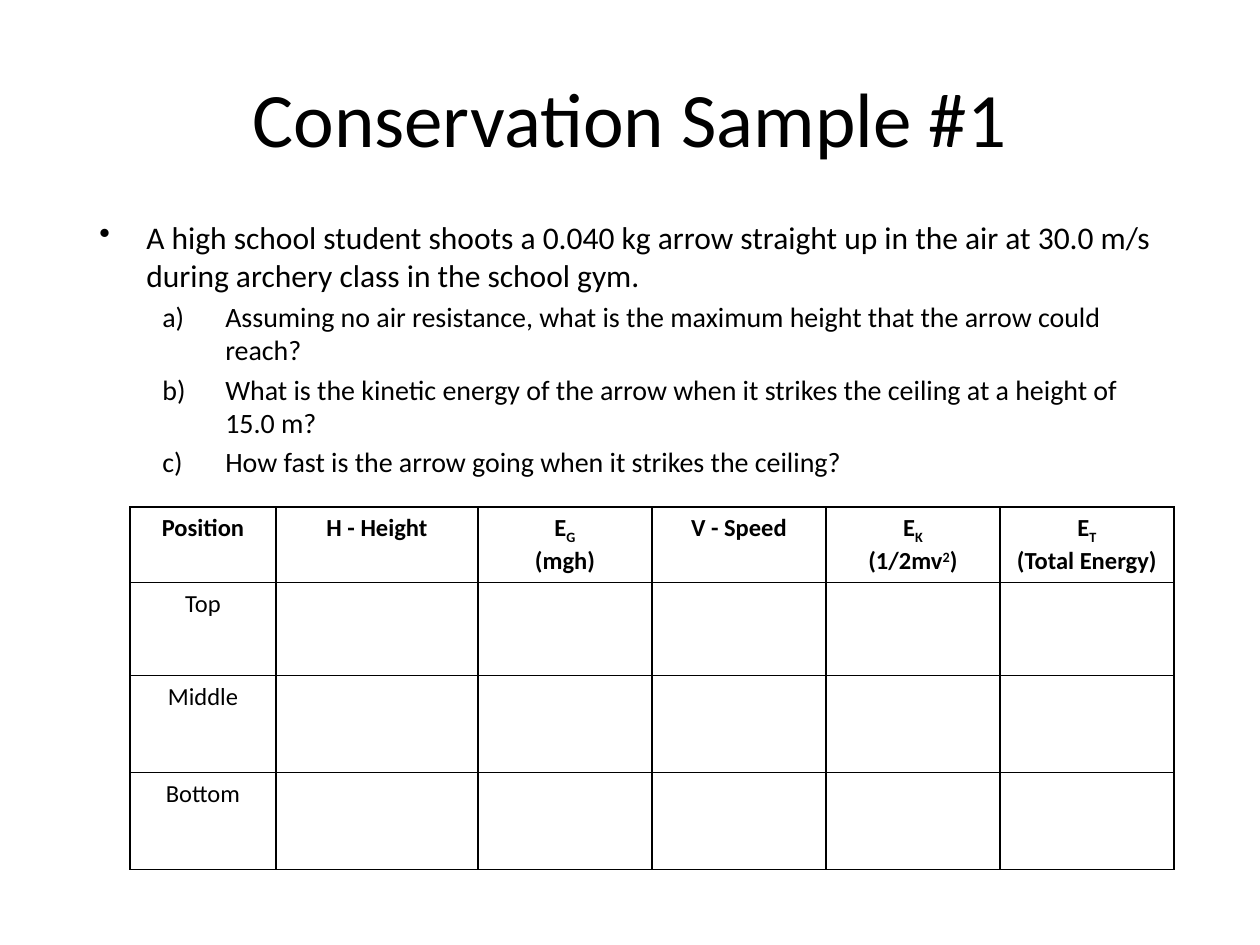
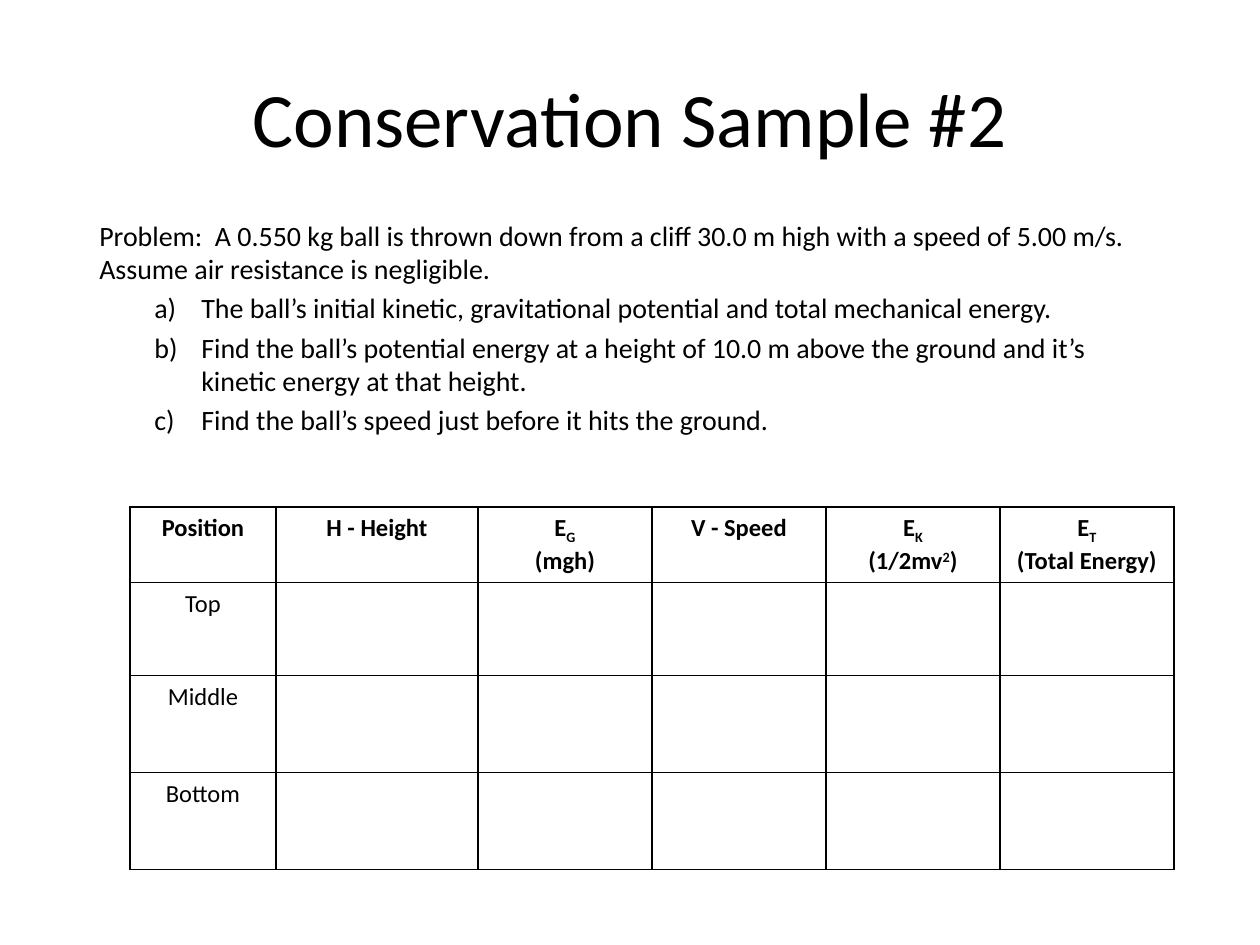
import dataclasses
import pptx
import pptx.util
import pptx.dml.color
import pptx.enum.text
import pptx.oxml.ns
from lxml import etree

PX = 914400 / 126
ALIGN = pptx.enum.text.PP_ALIGN
ANCHOR = pptx.enum.text.MSO_ANCHOR


@dataclasses.dataclass(frozen=True)
class Theme:
    """Colours, font and type sizes of the deck."""
    ink: str = "000000"
    face: str = "Calibri"
    title: int = 44
    lead: int = 18
    body: int = 16
    cell: int = 14
    rule: int = 1


THEME = Theme()
TITLE = (63, 38, 1134, 158)
BODY = (87, 212, 1086, 275)
GRID = (130, 507, 1044, 358)
COLS = (146, 202, 174, 174, 174, 174)
ROWS = (71, 93, 97, 97)
HEADS = (
    [["Position"]],
    [["H - Height"]],
    [["E", ("G", -25)], ["(mgh)"]],
    [["V - Speed"]],
    [["E", ("K", -25)], ["(1/2mv", ("2", 30), ")"]],
    [["E", ("T", -25)], ["(Total Energy)"]],
)
STAGES = ("Top", "Middle", "Bottom")
SAMPLES = (
    dict(
        title="Conservation Sample #1",
        lead="A high school student shoots a 0.040 kg arrow straight up in the air "
             "at 30.0 m/s during archery class in the school gym.",
        size=THEME.lead, bullet=True, indent=(126, 63),
        parts=(
            "Assuming no air resistance, what is the maximum height that the arrow could reach?",
            "What is the kinetic energy of the arrow when it strikes the ceiling at a height of 15.0 m?",
            "How fast is the arrow going when it strikes the ceiling?",
        ),
    ),
    dict(
        title="Conservation Sample #2",
        lead="Problem:  A 0.550 kg ball is thrown down from a cliff 30.0 m high "
             "with a speed of 5.00 m/s.  Assume air resistance is negligible.",
        size=THEME.body, bullet=False, indent=(102, 47),
        parts=(
            "The ball’s initial kinetic, gravitational potential and total mechanical energy.",
            "Find the ball’s potential energy at a height of 10.0 m above the ground "
            "and it’s kinetic energy at that height.",
            "Find the ball’s speed just before it hits the ground.",
        ),
    ),
)


def emu(px):
    """Turn px into EMU."""
    return round(px * PX)


def sub(node, tag, **attrs):
    """Add a DrawingML child to a node."""
    return etree.SubElement(node, pptx.oxml.ns.qn("a:" + tag), attrs)


def style(para, size, bold=False):
    """Set the font of a paragraph."""
    font = para.font
    font.name, font.size, font.bold = THEME.face, pptx.util.Pt(size), bold
    font.color.rgb = pptx.dml.color.RGBColor.from_string(THEME.ink)


def mark(para, left, hang, tag, **attrs):
    """Give a paragraph a hanging bullet or number."""
    props = para._p.get_or_add_pPr()
    props.set("marL", str(emu(left)))
    props.set("indent", str(-emu(hang)))
    sub(props, tag, **attrs)


def text_box(slide, box):
    """Add a wrapping text box and return its frame."""
    frame = slide.shapes.add_textbox(*map(emu, box)).text_frame
    frame.word_wrap = True
    return frame


def add_title(slide, box, text):
    """Place the centred title."""
    frame = text_box(slide, box)
    frame.vertical_anchor = ANCHOR.MIDDLE
    para = frame.paragraphs[0]
    para.text, para.alignment = text, ALIGN.CENTER
    style(para, THEME.title)


def add_body(slide, box, sample):
    """Place the problem and its lettered parts."""
    frame = text_box(slide, box)
    lead = frame.paragraphs[0]
    lead.text = sample["lead"]
    if sample["bullet"]:
        mark(lead, 47, 47, "buChar", char="•")
    style(lead, sample["size"])
    for part in sample["parts"]:
        para = frame.add_paragraph()
        para.text, para.level = part, 1
        para.space_before = pptx.util.Pt(THEME.body * 0.2)
        mark(para, *sample["indent"], "buAutoNum", type="alphaLcParenR")
        style(para, THEME.body)


def border(cell):
    """Rule all four sides of a cell, without fill."""
    props = cell._tc.get_or_add_tcPr()
    for side in ("lnL", "lnR", "lnT", "lnB"):
        line = sub(props, side, w=str(pptx.util.Pt(THEME.rule)))
        sub(sub(line, "solidFill"), "srgbClr", val=THEME.ink)
    cell.fill.background()


def fill_cell(cell, lines, bold=False):
    """Write centred lines, with raised or lowered runs."""
    frame = cell.text_frame
    for i, line in enumerate(lines):
        para = frame.add_paragraph() if i else frame.paragraphs[0]
        para.alignment = ALIGN.CENTER
        style(para, THEME.cell, bold)
        for piece in line:
            text, shift = (piece, 0) if isinstance(piece, str) else piece
            run = para.add_run()
            run.text = text
            if shift:
                run.font._element.set("baseline", str(shift * 1000))


def add_grid(slide, box):
    """Place the energy table."""
    table = slide.shapes.add_table(len(ROWS), len(COLS), *map(emu, box)).table
    table.first_row = table.horz_banding = False
    for col, width in zip(table.columns, COLS):
        col.width = emu(width)
    for row, height in zip(table.rows, ROWS):
        row.height = emu(height)
    for cell in table.iter_cells():
        border(cell)
    for i, head in enumerate(HEADS):
        fill_cell(table.cell(0, i), head, True)
    for i, stage in enumerate(STAGES, 1):
        fill_cell(table.cell(i, 0), [[stage]])


def main():
    """Build and save the deck."""
    deck = pptx.Presentation()
    deck.slide_width, deck.slide_height = emu(1260), emu(945)
    for sample in SAMPLES:
        slide = deck.slides.add_slide(deck.slide_layouts[6])
        add_title(slide, TITLE, sample["title"])
        add_body(slide, BODY, sample)
        add_grid(slide, GRID)
    deck.save("out.pptx")


if __name__ == "__main__":
    main()
